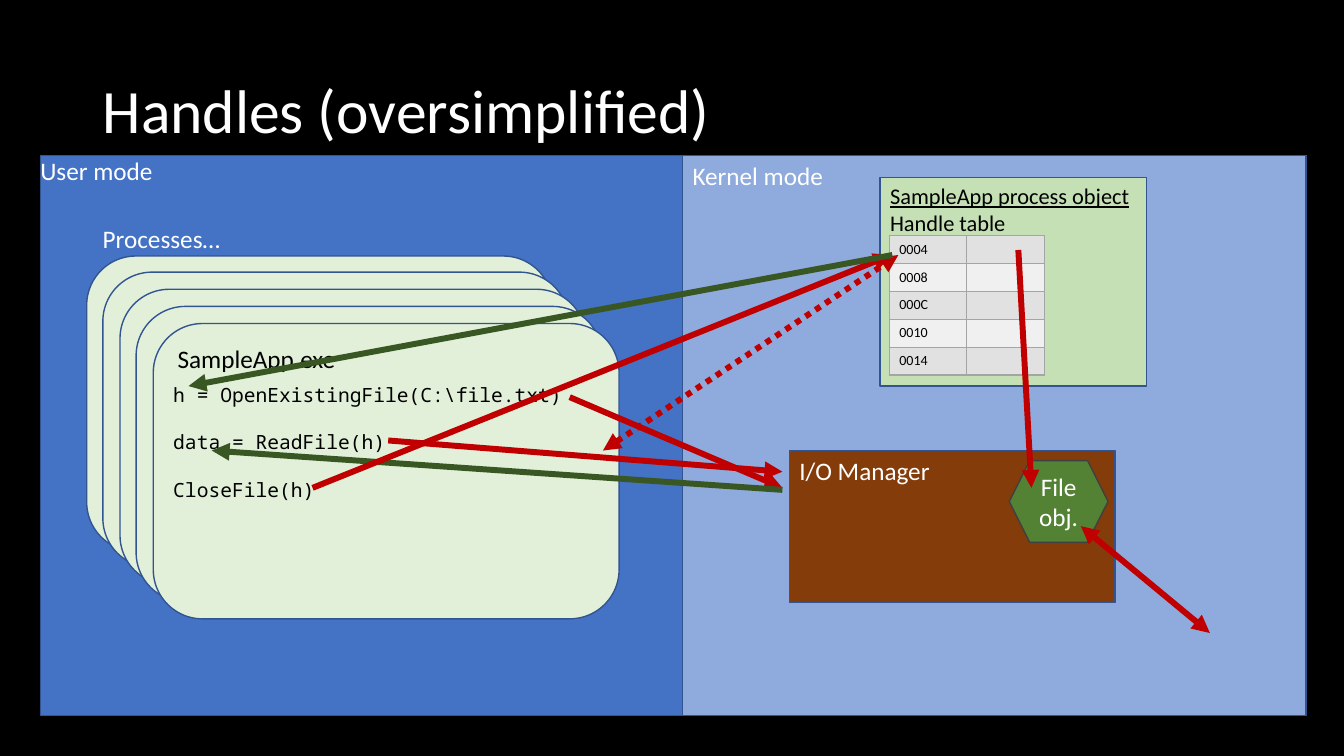
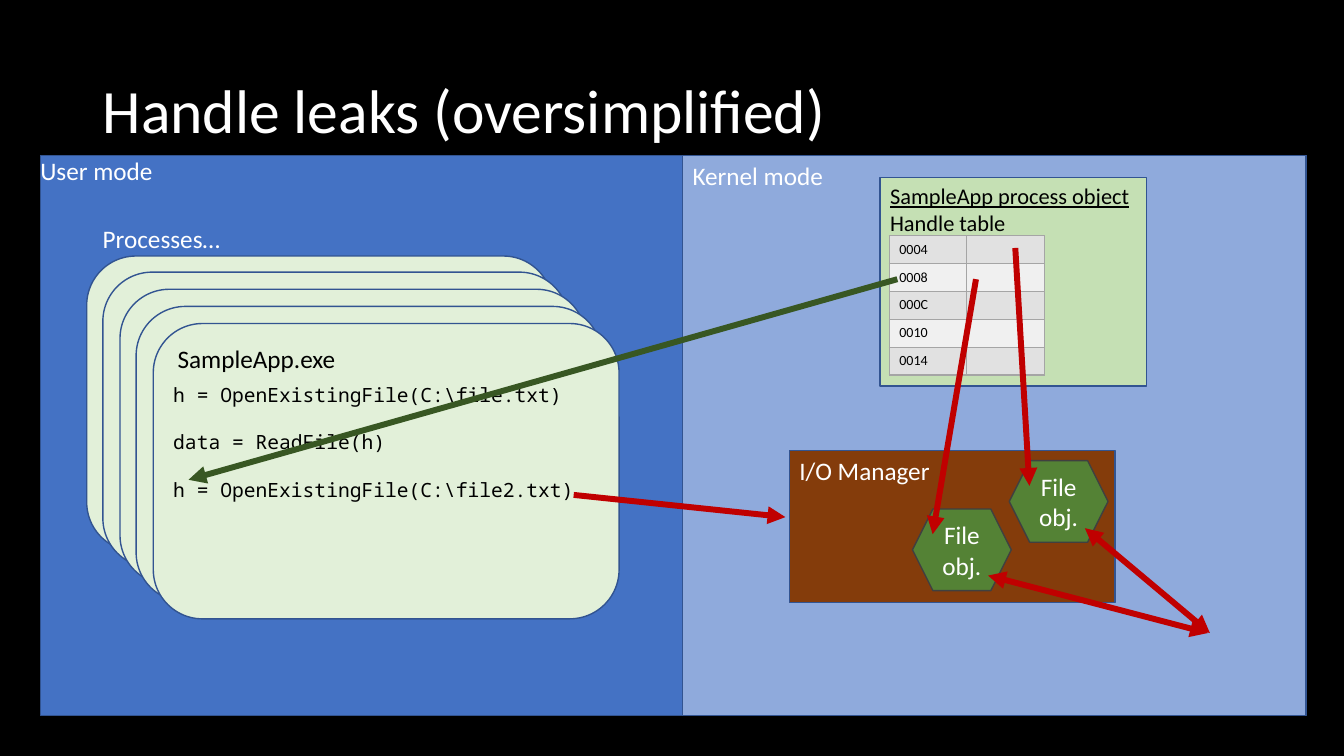
from pptx import Presentation
from pptx.dml.color import RGBColor as Rgb
from pptx.enum.dml import MSO_LINE as Dash
from pptx.enum.shapes import MSO_CONNECTOR as Link, MSO_SHAPE as Kind
from pptx.enum.text import MSO_ANCHOR as Anchor, PP_ALIGN as Align
from pptx.oxml.xmlchemy import OxmlElement as Node
from pptx.util import Pt

SCALE = 9144
BLACK = Rgb(0x00, 0x00, 0x00)
WHITE = Rgb(0xFF, 0xFF, 0xFF)
BLUE = Rgb(0x44, 0x72, 0xC4)
SKY = Rgb(0x8F, 0xAA, 0xDC)
EDGE = Rgb(0x32, 0x54, 0x91)
MINT = Rgb(0xE2, 0xF0, 0xD9)
LIME = Rgb(0xC5, 0xE0, 0xB4)
BROWN = Rgb(0x84, 0x3C, 0x0B)
GREEN = Rgb(0x54, 0x82, 0x35)
SLATE = Rgb(0x40, 0x40, 0x40)
RED = Rgb(0xC0, 0x00, 0x00)
PINE = Rgb(0x38, 0x57, 0x23)
RULE = Rgb(0xA5, 0xA5, 0xA5)
BANDS = Rgb(0xE1, 0xE1, 0xE1), Rgb(0xF0, 0xF0, 0xF0)

LIGHT = dict(name="Calibri", size=Pt(18), color=WHITE)
DARK = LIGHT | dict(color=BLACK)
HEAD = LIGHT | dict(size=Pt(44))
NOTE = DARK | dict(size=Pt(16))
CELL = DARK | dict(size=Pt(10))
CODE = DARK | dict(name="Noto Sans Mono", size=Pt(14))

FLUSH = dict(margin_left=0, margin_top=0, margin_right=0)
MIDDLE = dict(vertical_anchor=Anchor.MIDDLE)
KEYS = "0004", "0008", "000C", "0010", "0014"
OPEN, READ = r"h = OpenExistingFile(C:\file.txt)", "data = ReadFile(h)"


def px(*nums):
    return [round(num * SCALE) for num in nums]


def apply(item, form):
    for key, value in form.items():
        if key == "color":
            item.color.rgb = value
        else:
            setattr(item, key, value)


def write(shape, lines, font, frame={}, para={}):
    text = shape.text_frame
    apply(text, dict(word_wrap=True, vertical_anchor=Anchor.TOP) | frame)
    for spot, line in enumerate(lines):
        part = text.add_paragraph() if spot else text.paragraphs[0]
        apply(part, dict(alignment=Align.LEFT) | para)
        run = part.add_run()
        run.text = line
        apply(run.font, font)


def label(slide, box, lines, font, frame={}, para={}):
    write(slide.shapes.add_textbox(*px(*box)), lines, font, frame, para)


def block(slide, box, fill, kind=Kind.RECTANGLE, edge=EDGE):
    shape = slide.shapes.add_shape(kind, *px(*box))
    shape.shadow.inherit = False
    shape.fill.solid()
    shape.fill.fore_color.rgb = fill
    apply(shape.line, dict(color=edge, width=Pt(1)))
    return shape


def arrow(slide, start, end, color, tips, dash=None):
    link = slide.shapes.add_connector(Link.STRAIGHT, *px(*start, *end))
    apply(link.line, dict(color=color, width=Pt(4.25), dash_style=dash))
    for tip in tips:
        mark = Node(f"a:{tip}End")
        mark.set("type", "triangle")
        link.get_or_add_ln().append(mark)
    link.element.spPr.append(Node("a:effectLst"))


def border(cell):
    props = cell._tc.get_or_add_tcPr()
    for side in "LRTB":
        line = Node(f"a:ln{side}")
        line.set("w", str(Pt(1)))
        fill = Node("a:solidFill")
        tint = Node("a:srgbClr")
        tint.set("val", str(RULE))
        fill.append(tint)
        line.append(fill)
        props.append(line)


def handles(slide, box):
    grid = slide.shapes.add_table(len(KEYS), 2, *px(*box)).table
    apply(grid, dict(first_row=False, horz_banding=False))
    wide, high = px(*box[2:])
    for col in grid.columns:
        col.width = wide // 2
    for row, key in enumerate(KEYS):
        grid.rows[row].height = high // len(KEYS)
        for col, text in enumerate((key, "")):
            cell = grid.cell(row, col)
            border(cell)
            cell.fill.solid()
            cell.fill.fore_color.rgb = BANDS[row % 2]
            part = cell.text_frame.paragraphs[0]
            if text:
                run = part.add_run()
                run.text = text
                apply(run.font, CELL)
            else:
                end = Node("a:endParaRPr")
                end.set("sz", "1000")
                part._p.append(end)


def user(slide, box, code):
    left, top, wide, high = box
    write(block(slide, box, BLUE), ["User mode"], LIGHT, FLUSH)
    label(slide, (left + 52, top + 63, 205, 40), ["Processes…"], LIGHT)
    for step in range(5):
        spot = left + 46 + step * 33 // 2, top + 100 + step * 67 // 4
        card = block(slide, (*spot, 462, 293), MINT, Kind.ROUNDED_RECTANGLE)
    write(card, ["SampleApp.exe"], DARK)
    label(slide, (left + 122, top + 221, 430, 128), code, CODE)
    for part in slide.shapes[-1].text_frame.paragraphs[1:]:
        part.space_before = Pt(17)


def kernel(slide, box):
    left, top, wide, high = box
    write(block(slide, box, SKY), ["Kernel mode"], LIGHT)
    write(block(slide, (left + 106, top + 293, 323, 151), BROWN),
          ["I/O Manager"], LIGHT)
    card = block(slide, (left + 196, top + 22, 264, 207), LIME)
    write(card, ["SampleApp process object", "Handle table"], NOTE)
    card.text_frame.paragraphs[0].runs[0].font.underline = True
    handles(slide, (left + 205, top + 80, 154, 138))


def file(slide, spot):
    shape = block(slide, (*spot, 98, 81), GREEN, Kind.HEXAGON, SLATE)
    write(shape, ["File obj."], LIGHT, MIDDLE, dict(alignment=Align.CENTER))


def build(deck, title, code, layers):
    slide = deck.slides.add_slide(deck.slide_layouts[6])
    slide.background.fill.solid()
    slide.background.fill.fore_color.rgb = BLACK
    label(slide, (92, 40, 1150, 145), [title], HEAD, MIDDLE,
          dict(line_spacing=0.9))
    user(slide, (40, 154, 1256, 556), code)
    kernel(slide, (677, 154, 618, 556))
    for spot, arrows in layers:
        file(slide, spot)
        for item in arrows:
            arrow(slide, *item)


HEADS, TAIL, BOTH = ["head"], ["tail"], ["head", "tail"]
USE = [
    ((565, 394), (776, 484), RED, TAIL),
    ((1072, 522), (1200, 628), RED, BOTH),
    ((385, 437), (776, 468), RED, TAIL),
    ((598, 447), (891, 253), RED, BOTH, Dash.ROUND_DOT),
    ((210, 447), (776, 486), PINE, HEADS),
    ((310, 484), (884, 253), RED, TAIL),
    ((187, 383), (885, 253), PINE, HEADS),
    ((1010, 248), (1023, 484), RED, TAIL),
]
LEAK = [
    ((1076, 524), (1200, 628), RED, BOTH),
    ((569, 491), (779, 513), RED, TAIL),
    ((187, 476), (890, 277), PINE, HEADS),
    ((1007, 246), (1021, 482), RED, TAIL),
]
MORE = [
    ((980, 571), (1198, 628), RED, BOTH),
    ((968, 277), (925, 530), RED, TAIL),
]


def main():
    deck = Presentation()
    deck.slide_width, deck.slide_height = px(1333, 750)
    build(deck, "Handles (oversimplified)", [OPEN, READ, "CloseFile(h)"],
          [((1001, 457), USE)])
    build(deck, "Handle leaks (oversimplified)",
          [OPEN, READ, r"h = OpenExistingFile(C:\file2.txt)"],
          [((1001, 457), LEAK), ((905, 505), MORE)])
    deck.save("out.pptx")


if __name__ == "__main__":
    main()
